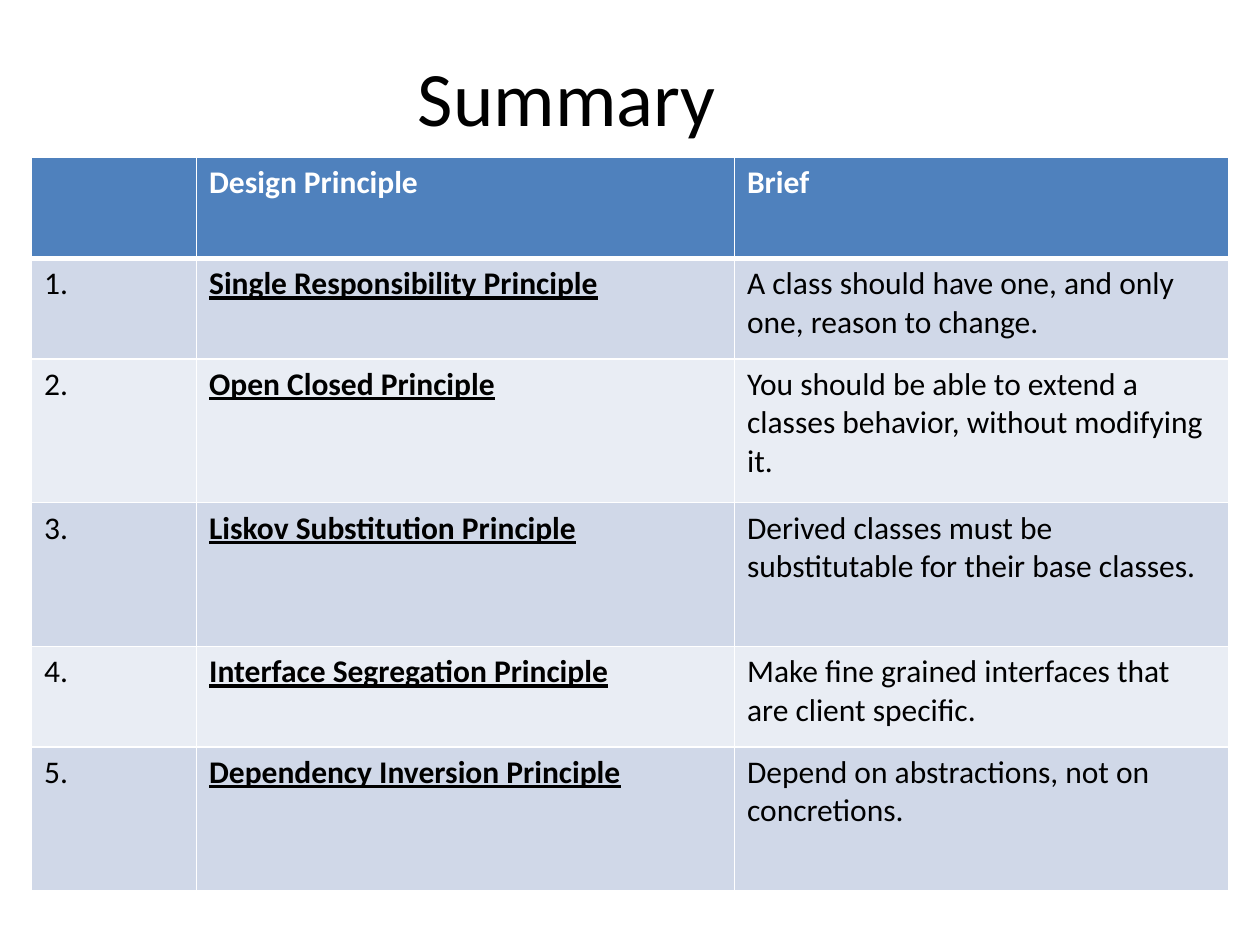
from typing import NamedTuple

from lxml.etree import SubElement
from pptx import Presentation
from pptx.dml.color import RGBColor
from pptx.enum.text import MSO_ANCHOR, PP_ALIGN
from pptx.oxml.ns import qn
from pptx.util import Emu, Inches, Pt

WHITE = RGBColor(0xFF, 0xFF, 0xFF)
BLACK = RGBColor(0x00, 0x00, 0x00)
HEADER_BLUE = RGBColor(0x4F, 0x81, 0xBD)
BAND_DARK = RGBColor(0xD0, 0xD8, 0xE8)
BAND_LIGHT = RGBColor(0xE9, 0xED, 0xF4)
FONT = "Calibri"
MARGIN = Inches(0.25)
COLUMN_WIDTHS = (1.31, 4.27, 3.92)
SHORT_ROW, TALL_ROW = 0.8, 1.14


class Principle(NamedTuple):
    name: str
    brief: str
    height: float


PRINCIPLES = (
    Principle("Single Responsibility Principle",
              "A class should have one, and only one, reason to change.", SHORT_ROW),
    Principle("Open Closed Principle",
              "You should be able to extend a classes behavior, without modifying it.", TALL_ROW),
    Principle("Liskov Substitution Principle",
              "Derived classes must be substitutable for their base classes.", TALL_ROW),
    Principle("Interface Segregation Principle",
              "Make fine grained interfaces that are client specific.", SHORT_ROW),
    Principle("Dependency Inversion Principle",
              "Depend on abstractions, not on concretions.", TALL_ROW),
)


def style_text(p, size: float, color: RGBColor, bold: bool = False,
               underline: bool = False) -> None:
    for r in p.runs:
        r.font.name = FONT
        r.font.size = Pt(size)
        r.font.color.rgb = color
        r.font.bold = bold
        r.font.underline = underline


def set_borders(cell, bottom: float) -> None:
    """White lines on all four sides; must come before the cell's fill."""
    tc_pr = cell._tc.get_or_add_tcPr()
    for side, width in (("L", 1), ("R", 1), ("T", 1), ("B", bottom)):
        ln = SubElement(tc_pr, qn(f"a:ln{side}"), w=str(Pt(width)))
        fill = SubElement(ln, qn("a:solidFill"))
        SubElement(fill, qn("a:srgbClr"), val=str(WHITE))


def fill_row(cells, texts: tuple[str, ...], fill: RGBColor, header: bool) -> None:
    for column, (cell, text) in enumerate(zip(cells, texts)):
        set_borders(cell, bottom=3 if header else 1)
        cell.fill.solid()
        cell.fill.fore_color.rgb = fill
        cell.text_frame.text = text
        is_name = column == 1 and not header
        style_text(cell.text_frame.paragraphs[0], 18, WHITE if header else BLACK,
                   bold=header or is_name, underline=is_name)


def add_title(s, text: str, width: Emu, height: Emu) -> None:
    sp = s.shapes.add_textbox(MARGIN, MARGIN, width, height)
    tf = sp.text_frame
    tf.word_wrap = True
    tf.vertical_anchor = MSO_ANCHOR.MIDDLE
    tf.text = text
    p = tf.paragraphs[0]
    p.alignment = PP_ALIGN.CENTER
    style_text(p, 44, BLACK)


def add_principles_table(s, top: Emu, width: Emu) -> None:
    heights = [SHORT_ROW] + [principle.height for principle in PRINCIPLES]
    table = s.shapes.add_table(len(heights), len(COLUMN_WIDTHS), MARGIN, top,
                               width, Inches(sum(heights))).table
    for column, column_width in zip(table.columns, COLUMN_WIDTHS):
        column.width = Inches(column_width)
    for row, height in zip(table.rows, heights):
        row.height = Inches(height)

    # Header, then numbered rows in alternating bands
    fill_row(table.rows[0].cells, ("", "Design Principle", "Brief"), HEADER_BLUE, True)
    for number, principle in enumerate(PRINCIPLES, start=1):
        fill_row(table.rows[number].cells,
                 (f"{number}.", principle.name, principle.brief),
                 BAND_DARK if number % 2 else BAND_LIGHT, False)


def main() -> None:
    prs = Presentation()
    prs.slide_width, prs.slide_height = Inches(10), Inches(7.5)
    s = prs.slides.add_slide(prs.slide_layouts[6])
    add_title(s, "Summary", Emu(int(prs.slide_width * 0.85)), Inches(1.02))
    add_principles_table(s, Emu(prs.slide_height // 6), Emu(prs.slide_width - 2 * MARGIN))
    prs.save("out.pptx")


if __name__ == "__main__":
    main()
